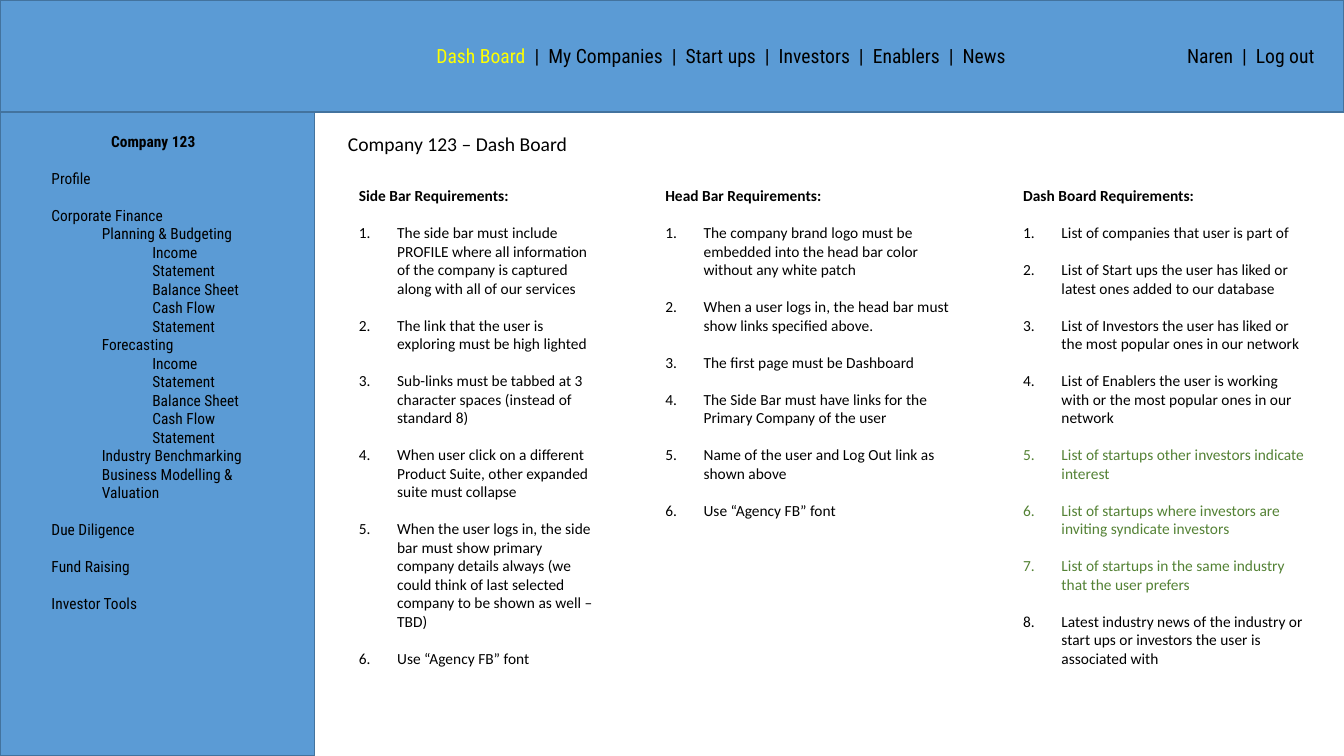
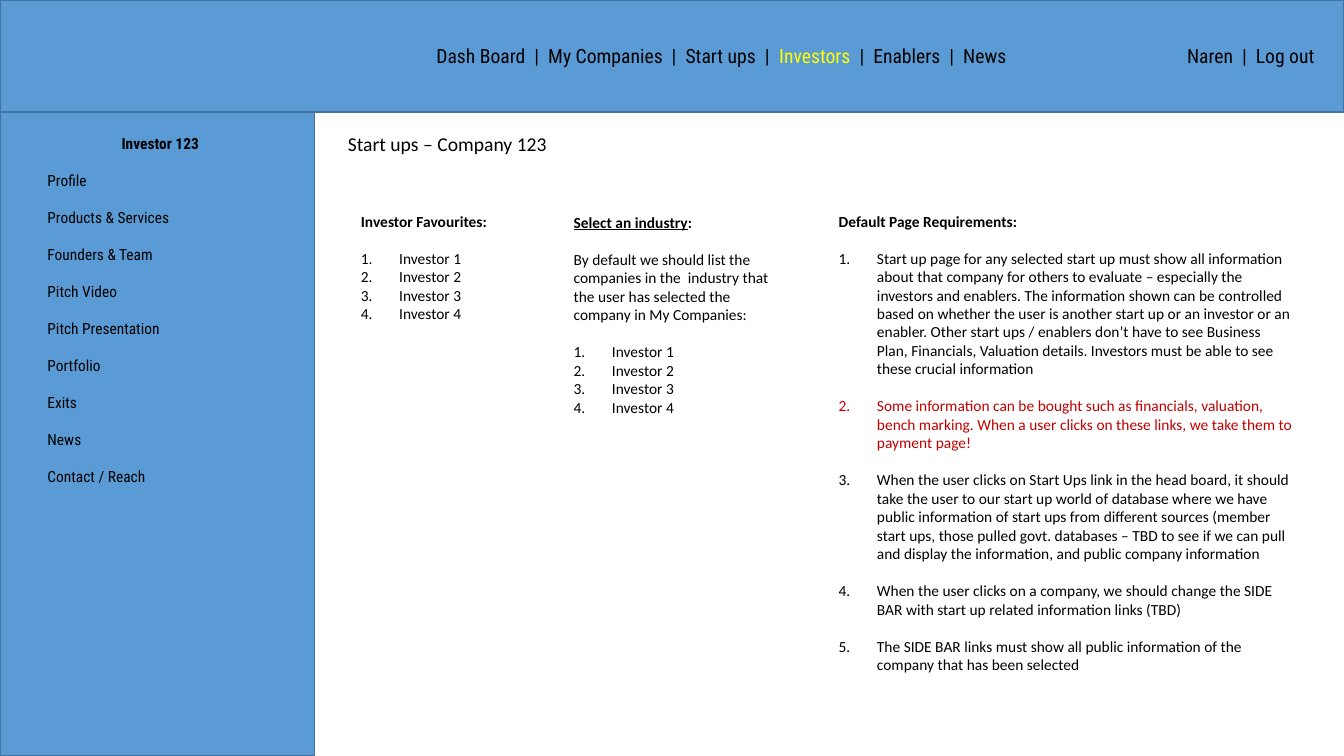
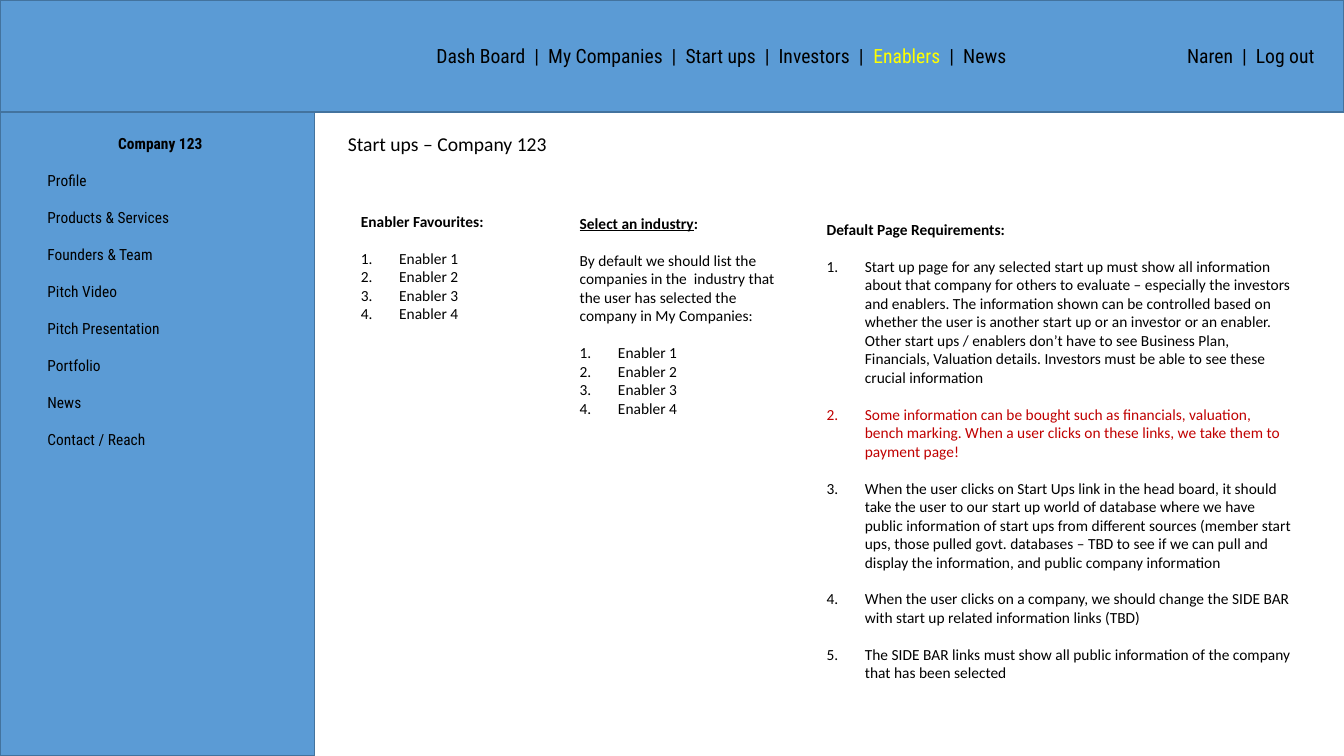
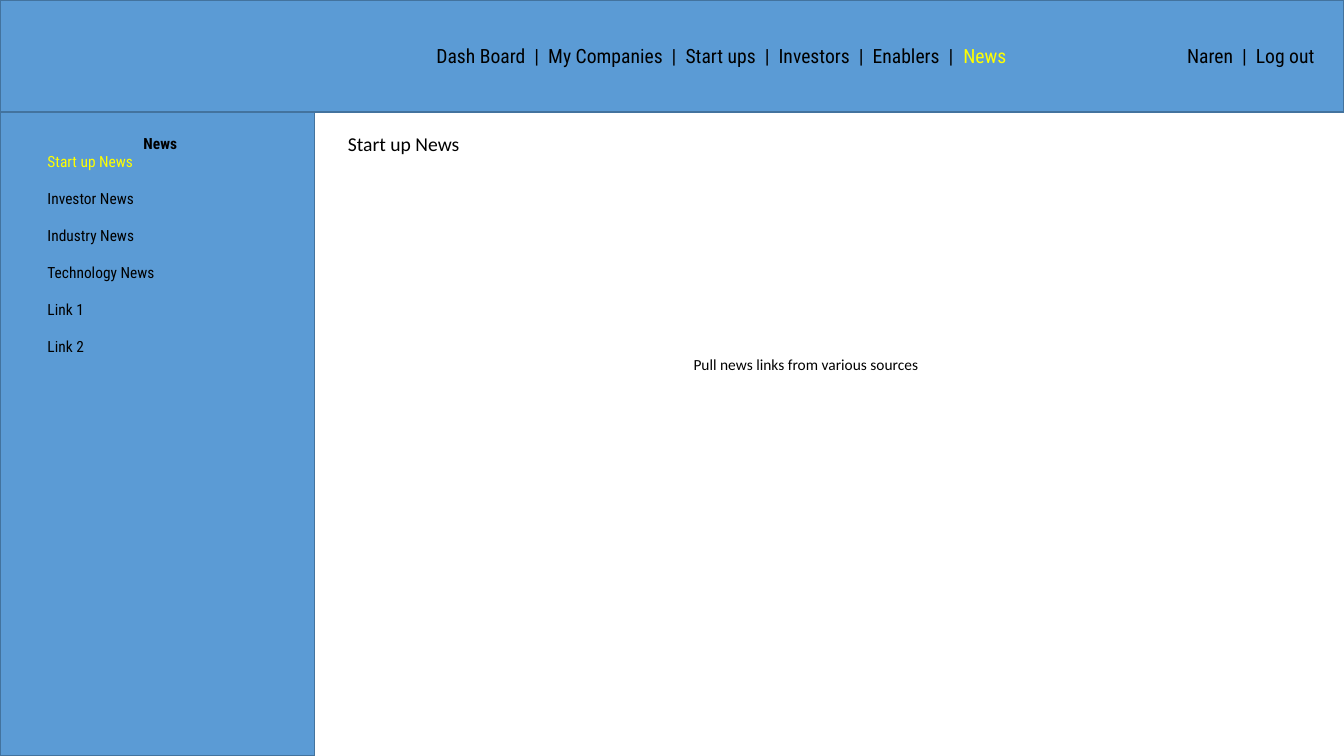
from dataclasses import dataclass

from lxml.etree import SubElement
from pptx import Presentation
from pptx.dml.color import RGBColor
from pptx.enum.shapes import MSO_SHAPE as Shape
from pptx.enum.text import MSO_ANCHOR as Anchor, MSO_AUTO_SIZE as AutoSize, PP_ALIGN as Align
from pptx.oxml.ns import qn
from pptx.util import Inches, Pt


@dataclass(frozen=True)
class Theme:
    band: str = "5B9BD5"
    border: str = "43739E"
    ink: str = "000000"
    active: str = "FFFF00"
    planned: str = "548235"
    paid: str = "C00000"
    menu_font: str = "Roboto Condensed"
    page_font: str = "Calibri"
    large: int = 14
    small: int = 11
    gap: float = 13.2


@dataclass
class Line:
    runs: list
    gap: bool = True
    level: int = 0
    numbered: bool = False
    align: int = Align.LEFT


THEME = Theme()
NAVIGATION = ["Dash Board", "My Companies", "Start ups", "Investors", "Enablers", "News"]
SEPARATOR = "  |  "
COMPARISON, TWO_CONTENT = 4, 3
NUMBER_INDENT, LEVEL_INDENT = Inches(0.38), Inches(0.5)


def set_all(target, values):
    for name, value in values.items():
        setattr(target, name, value)


def heading(text, **style):
    return Line([(text, {"bold": True, **style})])


def numbered(items, colours=None, gap=True):
    colours = colours or {}
    return [Line([(text, {"colour": colours.get(number, THEME.ink)})], gap or number == 1, numbered=True)
            for number, text in enumerate(items, 1)]


def menu(title, items, active=None):
    lines = [Line([(title, {"bold": True})], align=Align.CENTER)]
    for item in items:
        text, level = item if isinstance(item, tuple) else (item, 0)
        colour = THEME.active if text == active else THEME.ink
        lines.append(Line([(text, {"colour": colour})], level == 0 and text != active, level))
    return lines


class Deck:
    def __init__(self, theme):
        self.theme = theme
        self.presentation = Presentation()
        set_all(self.presentation, {"slide_width": Inches(13.33), "slide_height": Inches(7.5)})
        self.column = self.presentation.slide_width / 100
        self.row = self.presentation.slide_height / 100

    def place(self, box):
        left, top, width, height = box
        return [int(size) for size in
                (left * self.column, top * self.row, width * self.column, height * self.row)]

    def page(self, layout, title, active):
        self.slide = self.presentation.slides.add_slide(self.presentation.slide_layouts[layout])
        title_shape, *bodies = self.slide.placeholders
        self.bodies = iter(bodies)
        self.band((0, 0, 100, 14.8))
        self.band((0, 0, 23.4, 100))
        self.fill(title_shape, (25.13, 16.8, 18.3, 4.53), [Line([(title, {})])],
                  self.theme.page_font, self.theme.large)
        links = []
        for name in NAVIGATION:
            if links:
                links.append((SEPARATOR, {}))
            links.append((name, {"colour": self.theme.active if name == active else self.theme.ink}))
        self.head_text((31.73, 5.2, 48.23, 4.53), Line(links))
        self.head_text((84.9, 5.2, 13.65, 4.53),
                       Line([("Naren" + SEPARATOR + "Log out", {})], align=Align.RIGHT))

    def band(self, box):
        shape = self.slide.shapes.add_shape(Shape.RECTANGLE, *self.place(box))
        shape.shadow.inherit = False
        shape.fill.solid()
        shape.fill.fore_color.rgb = RGBColor.from_string(self.theme.band)
        shape.line.color.rgb = RGBColor.from_string(self.theme.border)
        shape.line.width = Pt(1)
        shape.element.getparent().insert(2, shape.element)

    def head_text(self, box, line):
        shape = self.slide.shapes.add_textbox(*self.place(box))
        self.fill(shape, box, [line], self.theme.menu_font, self.theme.large)

    def sidebar(self, box, lines):
        self.fill(next(self.bodies), box, lines, self.theme.menu_font, self.theme.small)

    def column_text(self, box, lines):
        self.fill(next(self.bodies), box, lines, self.theme.page_font, self.theme.small)

    def fill(self, shape, box, lines, font, size):
        set_all(shape, dict(zip(("left", "top", "width", "height"), self.place(box))))
        frame = shape.text_frame
        set_all(frame, {"word_wrap": True, "auto_size": AutoSize.SHAPE_TO_FIT_TEXT,
                        "vertical_anchor": Anchor.TOP})
        for index, line in enumerate(lines):
            paragraph = frame.add_paragraph() if index else frame.paragraphs[0]
            self.format_line(paragraph, line, font, size, index > 0 and line.gap)

    def format_line(self, paragraph, line, font, size, gap):
        set_all(paragraph, {"alignment": line.align, "level": line.level, "line_spacing": 1.0,
                            "space_before": Pt(self.theme.gap if gap else 0), "space_after": Pt(0)})
        properties = paragraph._p.get_or_add_pPr()
        indent = NUMBER_INDENT if line.numbered else 0
        properties.set("marL", str(indent + line.level * LEVEL_INDENT))
        properties.set("indent", str(-indent))
        if line.numbered:
            SubElement(properties, qn("a:buFont"), typeface="+mj-lt")
            SubElement(properties, qn("a:buAutoNum"), type="arabicPeriod")
        else:
            SubElement(properties, qn("a:buNone"))
        for text, style in line.runs:
            run = paragraph.add_run()
            run.text = text
            style = dict(style)
            colour = style.pop("colour", self.theme.ink)
            set_all(run.font, {"name": font, "size": Pt(size), "bold": False, **style})
            run.font.color.rgb = RGBColor.from_string(colour)


STATEMENTS = [("Income Statement", 2), ("Balance Sheet", 2), ("Cash Flow Statement", 2)]
COMPANY_MENU = ["Profile", "Corporate Finance", ("Planning & Budgeting", 1), *STATEMENTS,
                ("Forecasting", 1), *STATEMENTS, ("Industry Benchmarking", 1),
                ("Business Modelling & Valuation", 1), "Due Diligence", "Fund Raising", "Investor Tools"]
PROFILE_MENU = ["Profile", "Products & Services", "Founders & Team", "Pitch Video",
                "Pitch Presentation", "Portfolio"]
CONTACT_MENU = ["News", "Contact / Reach"]
NEWS_MENU = ["Start up News", "Investor News", "Industry News", "Technology News", "Link 1", "Link 2"]
SIDE_BAR = [
    "The side bar must include PROFILE where all information of the company is captured along with all of our services",
    "The link that the user is exploring must be high lighted",
    "Sub-links must be tabbed at 3 character spaces (instead of standard 8)",
    "When user click on a different Product Suite, other expanded suite must collapse",
    "When the user logs in, the side bar must show primary company details always "
    "(we could think of last selected company to be shown as well – TBD)",
    "Use “Agency FB” font",
]
HEAD_BAR = [
    "The company brand logo must be embedded into the head bar color without any white patch",
    "When a user logs in, the head bar must show links specified above.",
    "The first page must be Dashboard",
    "The Side Bar must have links for the Primary Company of the user",
    "Name of the user and Log Out link as shown above",
    "Use “Agency FB” font",
]
DASH_BOARD = [
    "List of companies that user is part of",
    "List of Start ups the user has liked or latest ones added to our database",
    "List of Investors the user has liked or the most popular ones in our network",
    "List of Enablers the user is working with or the most popular ones in our network",
    "List of startups other investors indicate interest",
    "List of startups where investors are inviting syndicate investors",
    "List of startups in the same industry  that the user prefers",
    "Latest industry news of the industry or start ups or investors the user is associated with",
]
DEFAULT_PAGE = [
    "Start up page for any selected start up must show all information about that company for others "
    "to evaluate – especially the investors and enablers. The information shown can be controlled based "
    "on whether the user is another start up or an investor or an enabler. Other start ups / enablers "
    "don’t have to see Business Plan, Financials, Valuation details. Investors must be able to see these "
    "crucial information",
    "Some information can be bought such as financials, valuation, bench marking. When a user clicks on "
    "these links, we take them to payment page!",
    "When the user clicks on Start Ups link in the head board, it should take the user to our start up "
    "world of database where we have public information of start ups from different sources (member start "
    "ups, those pulled govt. databases – TBD to see if we can pull and display the information, and public "
    "company information",
    "When the user clicks on a company, we should change the SIDE BAR with start up related information "
    "links (TBD)",
    "The SIDE BAR links must show all public information of the company that has been selected",
]
INDUSTRY_NOTE = ("By default we should list the companies in the  industry that the user has selected "
                 "the company in My Companies:")


def dash_board_page(deck):
    deck.page(COMPARISON, "Company 123 – Dash Board", "Dash Board")
    deck.sidebar((3.08, 16.8, 16.65, 53.2), menu("Company 123", COMPANY_MENU))
    planned = dict.fromkeys((5, 6, 7), THEME.planned)
    for title, items, colours, box in (
            ("Side Bar", SIDE_BAR, None, (25.95, 24, 19.5, 68)),
            ("Head Bar", HEAD_BAR, None, (48.75, 24, 23.33, 48.27)),
            ("Dash Board", DASH_BOARD, planned, (75.38, 24, 22.5, 65.47))):
        deck.column_text(box, [heading(f"{title} Requirements:"), *numbered(items, colours)])


def directory_page(deck, kind, owner, items, menu_height, industry_corner, default_box):
    deck.page(COMPARISON, "Start ups – Company 123", f"{kind}s")
    deck.sidebar((2.78, 17.07, 18.3, menu_height), menu(owner, items))
    names = numbered([f"{kind} {number}" for number in range(1, 5)], gap=False)
    industry = Line([("Select an industry", {"bold": True, "underline": True}), (":", {"bold": True})])
    deck.column_text((26.1, 27.33, 16.2, 16.13), [heading(f"{kind} Favourites:"), *names])
    deck.column_text((*industry_corner, 16.2, 28.53), [industry, Line([(INDUSTRY_NOTE, {})]), *names])
    deck.column_text(default_box, [heading("Default Page Requirements:"),
                                   *numbered(DEFAULT_PAGE, {2: THEME.paid})])


def news_page(deck):
    deck.page(TWO_CONTENT, "Start up News", "News")
    deck.sidebar((2.78, 17.07, 18.3, 33.47), menu("News", NEWS_MENU, "Start up News"))
    deck.column_text((50.85, 46.27, 21.75, 3.73), [Line([("Pull news links from various sources", {})])])


def main():
    deck = Deck(THEME)
    dash_board_page(deck)
    directory_page(deck, "Investor", "Investor 123", [*PROFILE_MENU, "Exits", *CONTACT_MENU], 50.67,
                   (41.93, 27.47), (61.65, 27.33, 35.33, 65.47))
    directory_page(deck, "Enabler", "Company 123", PROFILE_MENU + CONTACT_MENU, 45.73,
                   (42.38, 27.6), (60.75, 28.4, 36.15, 65.47))
    news_page(deck)
    deck.presentation.save("out.pptx")


if __name__ == "__main__":
    main()
